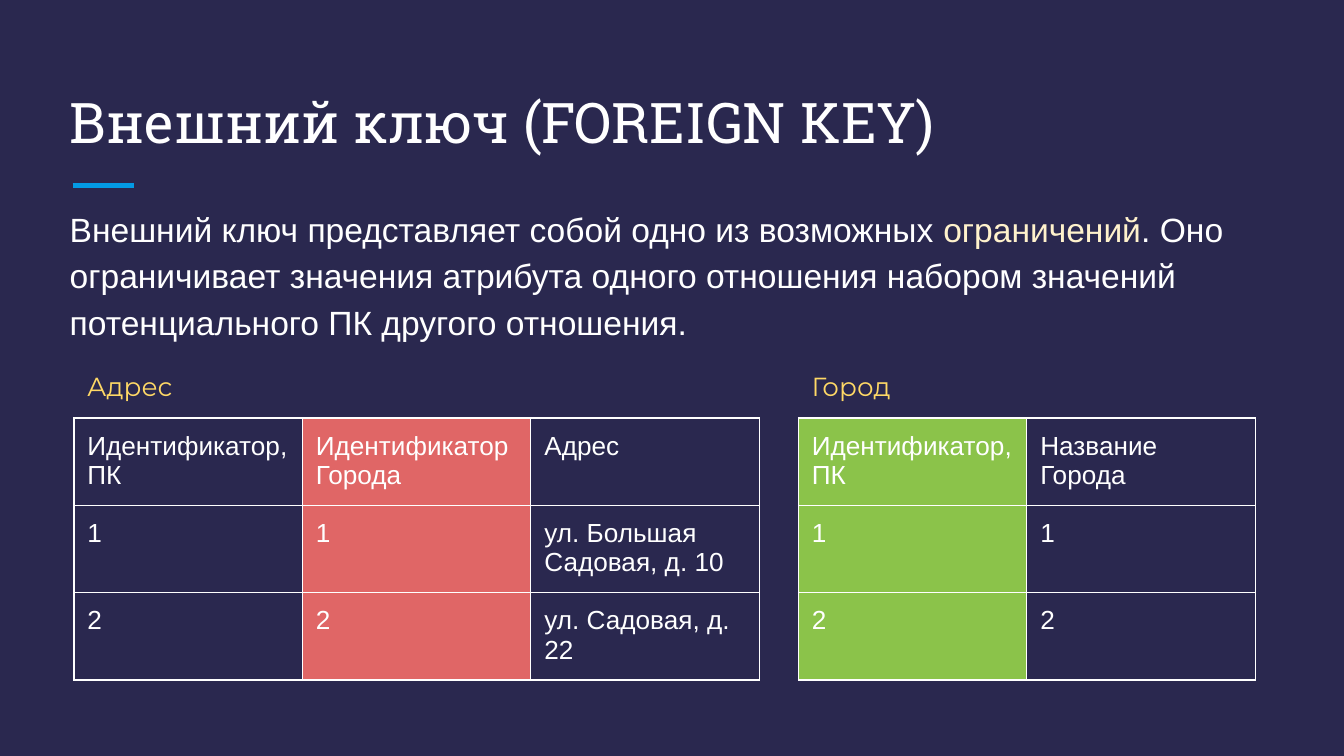
from lxml.etree import SubElement as Sub
from pptx import Presentation
from pptx.dml.color import RGBColor
from pptx.enum.shapes import MSO_CONNECTOR as Link
from pptx.enum.text import MSO_ANCHOR as Anchor
from pptx.oxml.ns import qn
from pptx.util import Inches, Pt

WHITE, CREAM, GOLD = "FFFFFF", "FFF2CC", "FFD966"
NAVY, BLUE, RED, GREEN = "2A284F", "039BE5", "E06666", "8BC34A"

# Grid: table columns and rows, and the left edge of the text boxes
COL, ROW, TOP = 1.7, 0.65, 3.11
LEFT, WIDE, PAD = 0.42, 9.15, 0.1


def paint(color, code):
    color.rgb = RGBColor.from_string(code)


def add_runs(para, runs, size, face):
    for text, code in runs:
        run = para.add_run()
        run.text = text
        run.font.size = Pt(size)
        run.font.name = face
        paint(run.font.color, code)


def add_text(slide, box, runs, size, face, anchor=Anchor.TOP):
    frame = slide.shapes.add_textbox(*map(Inches, box)).text_frame
    frame.word_wrap = True
    frame.vertical_anchor = anchor
    frame.margin_left = frame.margin_right = Inches(PAD)
    frame.margin_top = frame.margin_bottom = Inches(PAD)
    para = frame.paragraphs[0]
    add_runs(para, runs, size, face)
    return para


def add_rule(slide, x, y, width):
    line = slide.shapes.add_connector(
        Link.STRAIGHT, Inches(x), Inches(y), Inches(x + width), Inches(y))
    paint(line.line.color, BLUE)
    line.line.width = Pt(3)
    Sub(line._element.spPr, qn("a:effectLst"))


def add_edges(cell):
    props = cell._tc.get_or_add_tcPr()
    for side in ("lnL", "lnR", "lnT", "lnB"):
        edge = Sub(props, qn(f"a:{side}"), w=str(Pt(0.75)))
        fill = Sub(edge, qn("a:solidFill"))
        Sub(fill, qn("a:srgbClr"), val=WHITE)


def fill_cell(cell, text, code):
    cell.margin_left = cell.margin_right = cell.margin_top = Inches(PAD)
    # A tighter foot keeps two lines within the row height
    cell.margin_bottom = Inches(0.07)
    add_edges(cell)
    if code:
        cell.fill.solid()
        paint(cell.fill.fore_color, code)
    else:
        cell.fill.background()
    add_runs(cell.text_frame.paragraphs[0], [(text, WHITE)], 14, "Arial")


def add_grid(slide, x, name, rows, key, code):
    """Draw a named table whose column number key is tinted."""
    cols = len(rows[0])
    add_text(slide, (x, TOP - 0.45, cols * COL, 0.4),
             [(name, GOLD)], 14, "Montserrat")
    size = (x, TOP, cols * COL, len(rows) * ROW)
    table = slide.shapes.add_table(
        len(rows), cols, *map(Inches, size)).table
    table.first_row = table.horz_banding = False
    for r, row in enumerate(rows):
        for c, text in enumerate(row):
            fill_cell(table.cell(r, c), text, code if c == key else None)


def main():
    deck = Presentation()
    deck.slide_width = Inches(10)
    deck.slide_height = deck.slide_width * 9 // 16
    slide = deck.slides.add_slide(deck.slide_layouts[6])
    slide.background.fill.solid()
    paint(slide.background.fill.fore_color, NAVY)

    # Title and accent rule
    add_text(slide, (LEFT, 0.5, WIDE, 0.75),
             [("Внешний ключ (FOREIGN KEY)", WHITE)],
             30, "Roboto Slab", Anchor.BOTTOM)
    add_rule(slide, 0.54, 1.38, 0.46)

    # Definition
    para = add_text(slide, (LEFT, 1.41, WIDE, 1.2), [
        ("Внешний ключ представляет собой одно из возможных ", WHITE),
        ("ограничений", CREAM),
        (". Оно ограничивает значения атрибута одного отношения "
         "набором значений потенциального ПК другого отношения.", WHITE),
    ], 18, "Arial")
    para.line_spacing = 1.15
    para.space_after = Pt(10)

    # Linked tables
    add_grid(slide, 0.55, "Адрес", [
        ("Идентификатор, ПК", "Идентификатор Города", "Адрес"),
        ("1", "1", "ул. Большая Садовая, д. 10"),
        ("2", "2", "ул. Садовая, д. 22"),
    ], 1, RED)
    add_grid(slide, 5.94, "Город", [
        ("Идентификатор, ПК", "Название Города"),
        ("1", "1"),
        ("2", "2"),
    ], 0, GREEN)

    deck.save("out.pptx")


if __name__ == "__main__":
    main()
